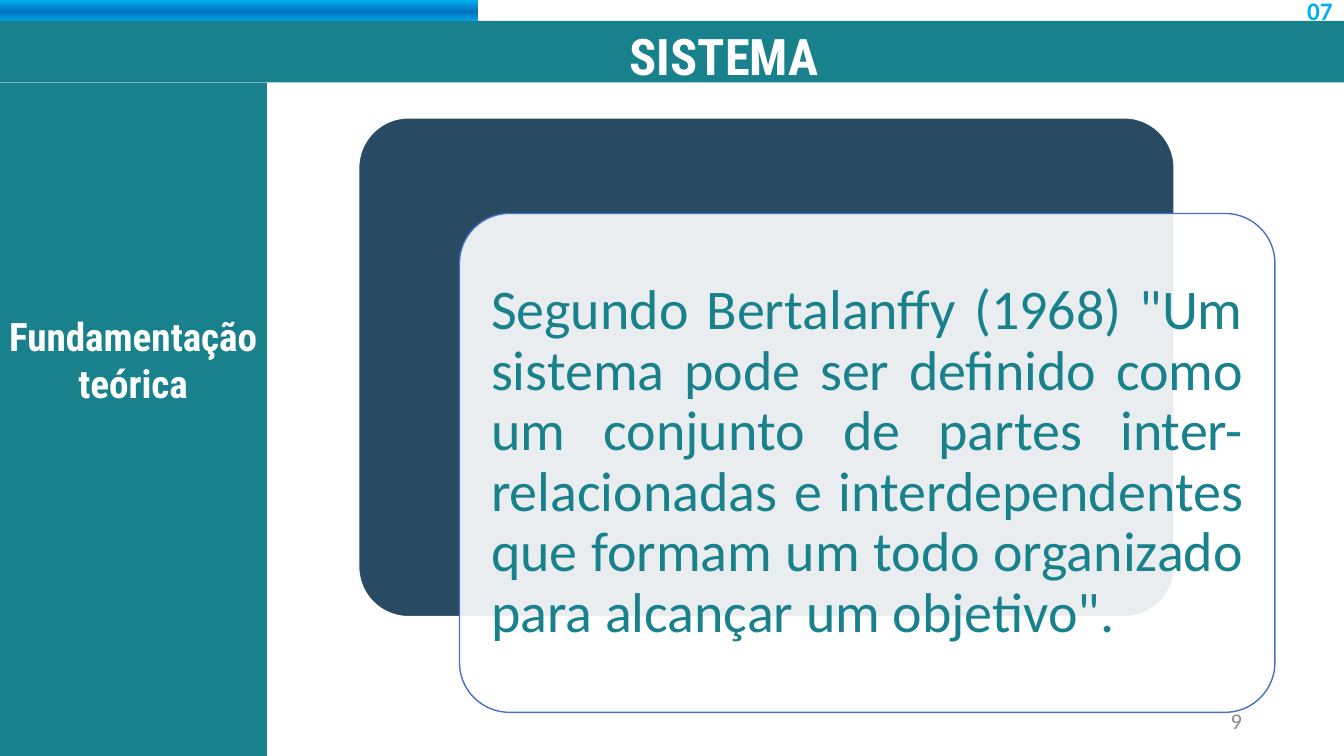
from copy import deepcopy
from dataclasses import dataclass

from lxml import etree
from pptx import Presentation
from pptx import util as u
from pptx.dml.color import RGBColor
from pptx.enum import shapes, text
from pptx.oxml import ns


@dataclass(frozen=True)
class Theme:
    teal: str = "18818C"
    navy: str = "284B63"
    white: str = "FFFFFF"
    sky: str = "00B0F0"
    blue: str = "0070C0"
    outline: str = "4472C4"
    gray: str = "8C8C8C"
    heading: str = "Roboto Condensed"
    body: str = "Calibri"
    title_size: int = 36
    section_size: int = 28
    quote_size: int = 40
    counter_size: int = 18
    page_size: int = 16


THEME = Theme()
SLIDE_W, SLIDE_H = 33.87, 19.05
BAND_TOP, BAND_H = 0.53, 1.55
CARD_LEFT, CARD_TOP, CARD_W, CARD_H = 9.04, 2.97, 20.55, 12.57
CARD_DX, CARD_DY = 2.54, 2.41


def rgb(color):
    return RGBColor.from_string(color)


def cm_box(*lengths):
    return [u.Cm(length) for length in lengths]


def add_block(s, box, fill, line=None, kind=shapes.MSO_SHAPE.RECTANGLE):
    sp = s.shapes.add_shape(kind, *cm_box(*box))
    sp.shadow.inherit = False
    sp.fill.solid()
    sp.fill.fore_color.rgb = rgb(fill)
    if line:
        sp.line.color.rgb = rgb(line)
        sp.line.width = u.Pt(1)
    else:
        sp.line.fill.background()
    return sp


def add_card(s, box, fill, line):
    sp = add_block(s, box, fill, line, shapes.MSO_SHAPE.ROUNDED_RECTANGLE)
    sp.adjustments[0] = 0.1
    return sp


def set_opacity(sp, percent):
    color = sp._element.spPr.find(ns.qn("a:solidFill"))[0]
    etree.SubElement(color, ns.qn("a:alpha")).set("val", str(percent * 1000))


def set_gradient(sp, stops):
    """Fill from top to bottom with (position, color) stops."""
    sp.fill.gradient()
    sp.fill.gradient_angle = 270
    gs_list = sp._element.spPr.find(f".//{ns.qn('a:gsLst')}")
    while len(gs_list) < len(stops):
        gs_list.append(deepcopy(gs_list[-1]))
    for stop, (position, color) in zip(sp.fill.gradient_stops, stops):
        stop.position = position
        stop.color.rgb = rgb(color)


def write(sp, content, font, size, color, bold=False, align=text.PP_ALIGN.LEFT,
          anchor=text.MSO_ANCHOR.TOP, wrap=True):
    tf = sp.text_frame
    tf.text = content
    tf.word_wrap = wrap
    tf.vertical_anchor = anchor
    p = tf.paragraphs[0]
    p.alignment = align
    r = p.runs[0]
    r.font.name = font
    r.font.size = u.Pt(size)
    r.font.bold = bold
    r.font.color.rgb = rgb(color)
    return tf


def add_label(s, box, *args, **kwargs):
    return write(s.shapes.add_textbox(*cm_box(*box)), *args, **kwargs)


def add_quote(sp, content):
    tf = write(sp, content, THEME.body, THEME.quote_size, THEME.teal,
               align=text.PP_ALIGN.JUSTIFY, anchor=text.MSO_ANCHOR.MIDDLE)
    tf.margin_left = tf.margin_right = tf.margin_top = tf.margin_bottom = u.Cm(0.43)
    tf.paragraphs[0].line_spacing = 0.9


def main():
    prs = Presentation()
    prs.slide_width, prs.slide_height = cm_box(SLIDE_W, SLIDE_H)
    s = prs.slides.add_slide(prs.slide_layouts[6])

    progress = add_block(s, (0, 0, 12.04, 0.58), THEME.sky)
    set_gradient(progress, [(0, THEME.sky), (0.51, THEME.blue), (1, THEME.sky)])
    add_block(s, (0, BAND_TOP, SLIDE_W, BAND_H), THEME.teal)
    add_label(s, (32.69, -0.25, 1.17, 1.02), "07", THEME.body,
              THEME.counter_size, THEME.sky, bold=True, wrap=False)
    add_label(s, (15.62, 0.51, 5.49, 1.8), "SISTEMA", THEME.heading,
              THEME.title_size, THEME.white, bold=True)

    sidebar_top = BAND_TOP + BAND_H
    add_block(s, (0, sidebar_top, 6.73, SLIDE_H - sidebar_top), THEME.teal)
    add_label(s, (-0.33, 7.75, 7.37, 2.64), "Fundamentação teórica", THEME.heading,
              THEME.section_size, THEME.white, bold=True, align=text.PP_ALIGN.CENTER)

    add_card(s, (CARD_LEFT, CARD_TOP, CARD_W, CARD_H), THEME.navy, THEME.white)
    quote_card = add_card(s, (CARD_LEFT + CARD_DX, CARD_TOP + CARD_DY, CARD_W, CARD_H),
                          THEME.white, THEME.outline)
    set_opacity(quote_card, 90)
    add_quote(quote_card, 'Segundo Bertalanffy (1968) "Um sistema pode ser definido como '
              'um conjunto de partes inter-relacionadas e interdependentes que formam '
              'um todo organizado para alcançar um objetivo".')

    add_label(s, (23.93, 17.65, 7.62, 1.02), "9", THEME.body, THEME.page_size, THEME.gray,
              align=text.PP_ALIGN.RIGHT, anchor=text.MSO_ANCHOR.MIDDLE)
    prs.save("out.pptx")


if __name__ == "__main__":
    main()
